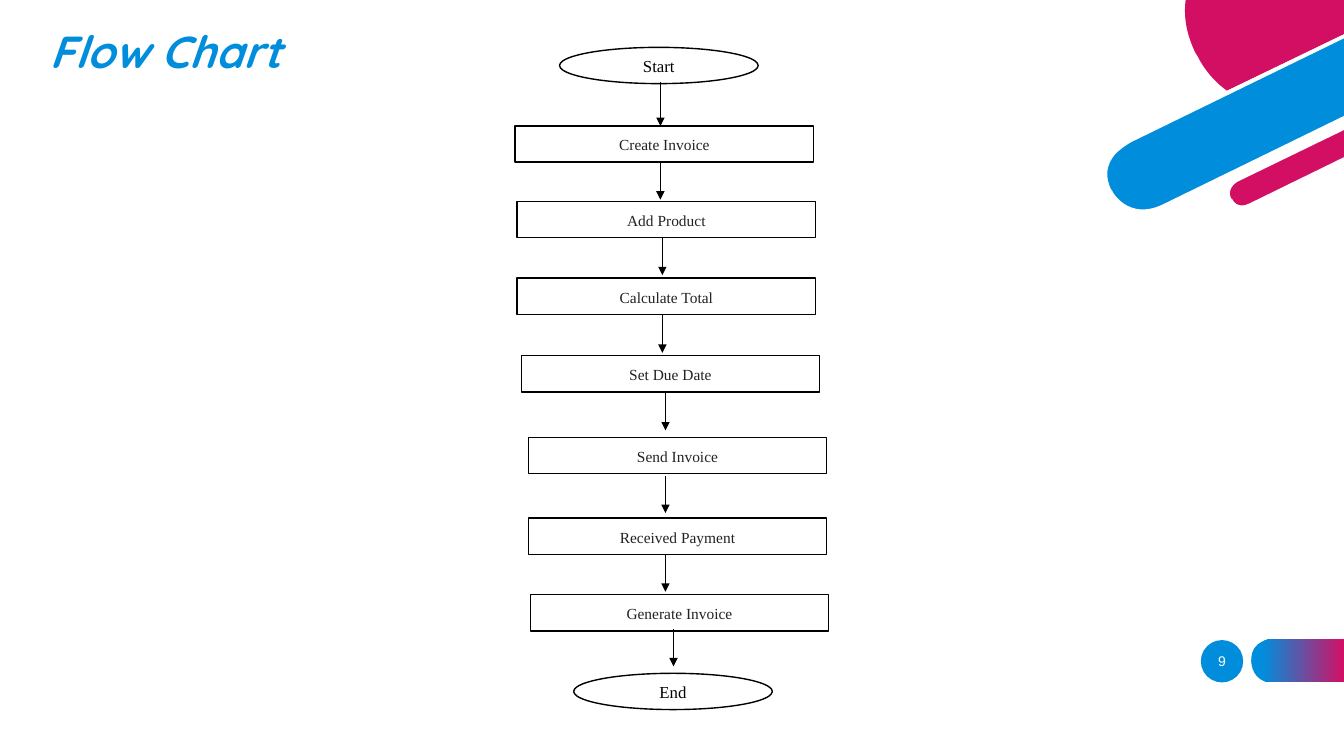
from dataclasses import dataclass

from lxml import etree
from pptx import Presentation
from pptx.dml.color import RGBColor
from pptx.enum.shapes import MSO_CONNECTOR, MSO_SHAPE
from pptx.enum.text import MSO_ANCHOR, MSO_AUTO_SIZE, PP_ALIGN
from pptx.oxml.ns import qn
from pptx.util import Inches, Pt

STRAIGHT = MSO_CONNECTOR.STRAIGHT
OVAL, RECTANGLE = MSO_SHAPE.OVAL, MSO_SHAPE.RECTANGLE
TOP, MIDDLE = MSO_ANCHOR.TOP, MSO_ANCHOR.MIDDLE
LEFT, CENTER = PP_ALIGN.LEFT, PP_ALIGN.CENTER


@dataclass(frozen=True)
class Theme:
    blue = RGBColor(0x00, 0x8E, 0xDC)
    pink = RGBColor(0xD3, 0x0F, 0x64)
    white = RGBColor(0xFF, 0xFF, 0xFF)
    black = RGBColor(0x00, 0x00, 0x00)
    step_text = RGBColor(0x22, 0x22, 0x22)
    title_font, flow_font, number_font = "Quicksand", "Times New Roman", "Arial"
    title_size, end_size, step_size, number_size = Pt(32), Pt(12), Pt(11), Pt(10)
    line_width = Pt(1)


theme = Theme()


def add_outline(slide, start, segments):
    """Closed outline; a segment is a line end (2 numbers) or a Bezier curve (6)."""
    builder = slide.shapes.build_freeform(Inches(start[0]), Inches(start[1]))
    builder.add_line_segments([(Inches(s[-2]), Inches(s[-1])) for s in segments], close=True)
    shape = builder.convert_to_shape()
    shape.shadow.inherit = False
    shape.line.fill.background()
    # Turn the lines of curved segments into Bezier curves
    lines = list(shape.element.iter(qn("a:lnTo")))
    for line, segment in zip(lines, segments):
        if len(segment) == 6:
            line.tag = qn("a:cubicBezTo")
            for index in (0, 1):
                x, y = segment[2 * index:2 * index + 2]
                control = etree.Element(qn("a:pt"), x=str(Inches(x) - shape.left),
                                        y=str(Inches(y) - shape.top))
                line.insert(index, control)
    return shape


def write(shape, text, font_name, size, color, align=CENTER, anchor=MIDDLE):
    frame = shape.text_frame
    frame.word_wrap = True
    frame.vertical_anchor = anchor
    paragraph = frame.paragraphs[0]
    paragraph.alignment = align
    run = paragraph.add_run()
    run.text = text
    run.font.name, run.font.size = font_name, size
    run.font.color.rgb = color
    return paragraph


presentation = Presentation()
presentation.slide_width, presentation.slide_height = Inches(13.33), Inches(7.5)
slide = presentation.slides.add_slide(presentation.slide_layouts[5])

# Page number: circle and gradient tab
circle = slide.shapes.add_shape(OVAL, Inches(11.91), Inches(6.35), Inches(0.42), Inches(0.42))
circle.shadow.inherit = False
circle.fill.solid()
circle.fill.fore_color.rgb = theme.blue
circle.line.fill.background()

tab = add_outline(slide, (12.62, 6.77), [
    (13.33, 6.77), (13.33, 6.34), (12.62, 6.34),
    (12.62, 6.34, 12.41, 6.34, 12.41, 6.55), (12.41, 6.56),
    (12.41, 6.56, 12.41, 6.77, 12.62, 6.77)])
tab.fill.gradient()
tab.fill.gradient_angle = 0
for stop, position, color in zip(tab.fill.gradient_stops, (0.12, 1), (theme.blue, theme.pink)):
    stop.position = position
    stop.color.rgb = color

# Corner decoration: coloured bands, then their white edges
corner_bands = [
    (theme.blue, (11.21, 1.39), [
        (11.21, 1.39, 10.85, 1.57, 11.01, 1.89), (11.01, 1.9),
        (11.01, 1.9, 11.17, 2.22, 11.54, 2.04), (13.33, 1.17), (13.33, 0.36)]),
    (theme.pink, (11.88, 0.56), [
        (11.88, 0.56, 11.97, 0.76, 12.17, 0.9), (13.33, 0.34), (13.33, 0),
        (11.76, 0), (11.74, 0.15, 11.76, 0.33, 11.86, 0.53)]),
    (theme.pink, (13.33, 1.26), [
        (12.27, 1.78), (12.27, 1.78, 12.13, 1.85, 12.2, 1.97), (12.2, 1.98),
        (12.2, 1.98, 12.26, 2.11, 12.4, 2.04), (13.33, 1.58)]),
    (theme.white, (12.39, 2.02), [
        (12.27, 2.08, 12.22, 1.98, 12.22, 1.97), (12.21, 1.97),
        (12.16, 1.86, 12.28, 1.8, 12.28, 1.8), (13.33, 1.29), (13.33, 1.24),
        (12.26, 1.76), (12.26, 1.76, 12.19, 1.8, 12.17, 1.87),
        (12.15, 1.91, 12.16, 1.95, 12.18, 1.99),
        (12.2, 2.03, 12.25, 2.08, 12.32, 2.08),
        (12.35, 2.08, 12.38, 2.08, 12.41, 2.06), (13.33, 1.61), (13.33, 1.56)]),
    (theme.white, (11.53, 2.03), [
        (11.19, 2.19, 11.03, 1.9, 11.03, 1.89), (11.02, 1.88),
        (10.96, 1.75, 10.97, 1.64, 11.06, 1.53),
        (11.13, 1.46, 11.22, 1.41, 11.22, 1.41), (13.33, 0.38), (13.33, 0.34),
        (11.2, 1.37), (11.19, 1.38, 11.02, 1.46, 10.96, 1.63),
        (10.93, 1.71, 10.94, 1.8, 10.99, 1.9), (10.99, 1.91),
        (10.99, 1.91, 11.1, 2.12, 11.33, 2.12),
        (11.39, 2.12, 11.46, 2.1, 11.54, 2.06), (13.33, 1.19), (13.33, 1.15)]),
]
for color, start, segments in corner_bands:
    band = add_outline(slide, start, segments)
    band.fill.solid()
    band.fill.fore_color.rgb = color

# Page number: digit
number = slide.shapes.add_textbox(Inches(11.82), Inches(6.36), Inches(0.6), Inches(0.4))
write(number, "9", theme.number_font, theme.number_size, theme.white)

# Title
title = slide.shapes.title
title.left, title.top, title.width, title.height = map(Inches, (0.27, 0.25, 3.39, 0.53))
paragraph = write(title, "Flow Chart", theme.title_font, theme.title_size, theme.blue, LEFT, TOP)
paragraph.line_spacing = 0.9
paragraph.runs[0].font.bold = paragraph.runs[0].font.italic = True
title.text_frame.auto_size = MSO_AUTO_SIZE.NONE
title.text_frame.margin_left = Inches(0.22)

# Flow chart: ovals at both ends, steps between
flow_nodes = [
    ("Start", OVAL, 5.55, 0.47),
    ("Create Invoice", RECTANGLE, 5.11, 1.25),
    ("Add Product", RECTANGLE, 5.13, 2),
    ("Calculate Total", RECTANGLE, 5.13, 2.76),
    ("Set Due Date", RECTANGLE, 5.17, 3.53),
    ("Send Invoice", RECTANGLE, 5.24, 4.34),
    ("Received Payment", RECTANGLE, 5.24, 5.14),
    ("Generate Invoice", RECTANGLE, 5.26, 5.9),
    ("End", OVAL, 5.69, 6.68),
]
node_styles = {
    OVAL: (1.97, theme.end_size, theme.black),
    RECTANGLE: (2.96, theme.step_size, theme.step_text),
}
for label, kind, left, top in flow_nodes:
    width, size, color = node_styles[kind]
    node = slide.shapes.add_shape(kind, Inches(left), Inches(top), Inches(width), Inches(0.36))
    node.shadow.inherit = False
    if kind == OVAL:
        node.fill.solid()
        node.fill.fore_color.rgb = theme.white
    else:
        node.fill.background()
    node.line.color.rgb = theme.black
    node.line.width = theme.line_width
    paragraph = write(node, label, theme.flow_font, size, color)
    paragraph.line_spacing = 1.07
    paragraph.space_after = Pt(8)

# Arrows between the steps: x, top, bottom
flow_arrows = [
    (6.55, 0.81, 1.25), (6.55, 1.61, 1.98), (6.57, 2.35, 2.73), (6.57, 3.13, 3.5),
    (6.6, 3.9, 4.27), (6.6, 4.72, 5.09), (6.6, 5.5, 5.87), (6.68, 6.24, 6.61),
]
for x, top, bottom in flow_arrows:
    arrow = slide.shapes.add_connector(STRAIGHT, Inches(x), Inches(top), Inches(x), Inches(bottom))
    arrow.line.color.rgb = theme.black
    arrow.line.width = theme.line_width
    properties = arrow.element.spPr
    etree.SubElement(properties.find(qn("a:ln")), qn("a:tailEnd"), type="triangle")
    etree.SubElement(properties, qn("a:effectLst"))

presentation.save("out.pptx")
